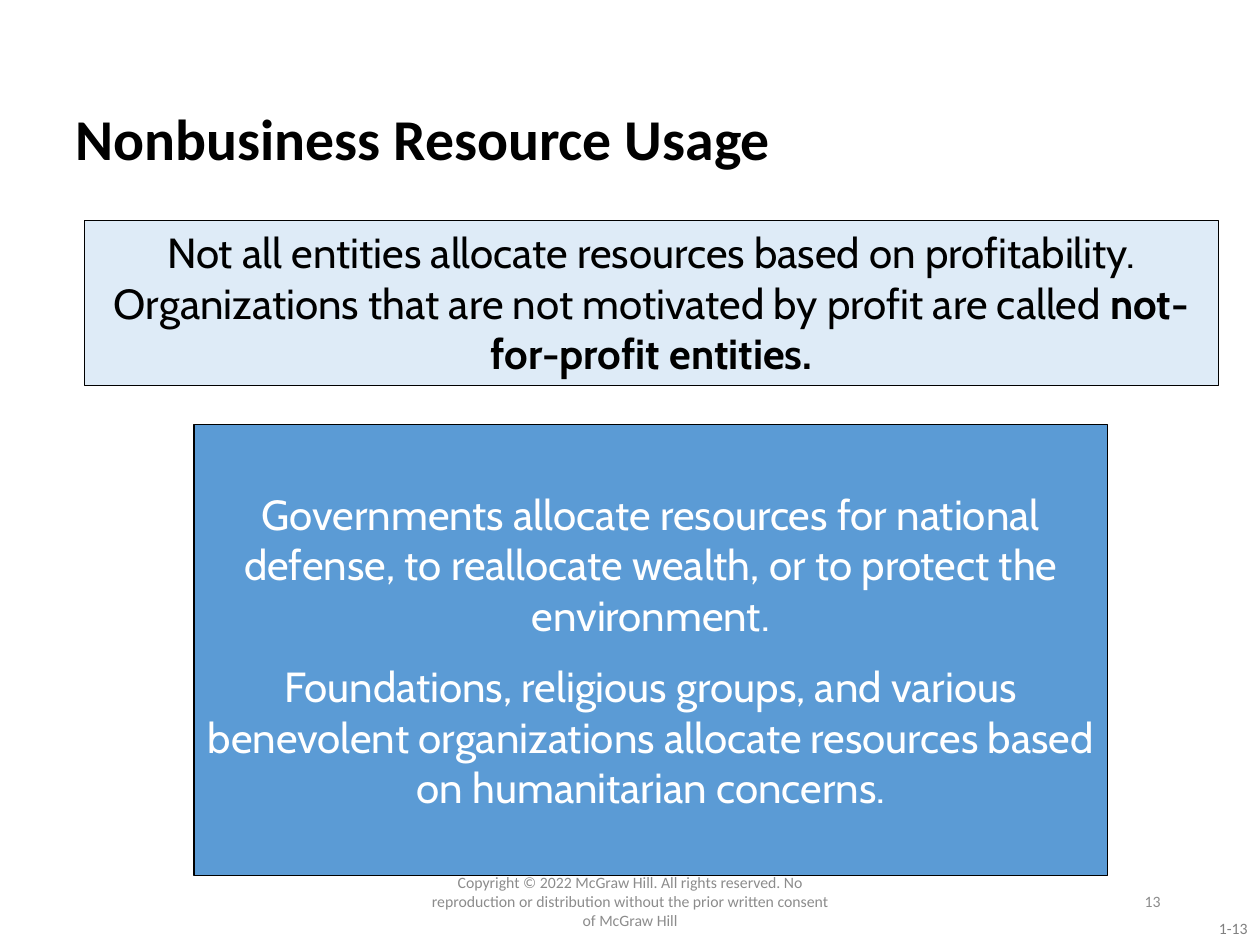
"""Build the Nonbusiness Resource Usage slide."""
from pptx import Presentation
from pptx.dml.color import RGBColor
from pptx.enum.shapes import MSO_SHAPE
from pptx.enum.text import MSO_ANCHOR, PP_ALIGN
from pptx.util import Inches, Pt

TITLE = [[("Nonbusiness Resource Usage", True)]]
DEFINITION = [[
    ("Not all entities allocate resources based on profitability. "
     "Organizations that are not motivated by profit are called ", False),
    ("not-for-profit entities.", True),
]]
EXAMPLES = [
    [("Governments allocate resources for national defense, to reallocate "
      "wealth, or to protect the environment.", False)],
    [("Foundations, religious groups, and various benevolent organizations "
      "allocate resources based on humanitarian concerns.", False)],
]
COPYRIGHT = [[("Copyright © 2022 McGraw Hill. All rights reserved. No reproduction "
               "or distribution without the prior written consent of McGraw Hill", False)]]
SLIDE_NUMBER = [[("13", False)]]
CHAPTER_PAGE = [[("1-13", False)]]
FOOTER = {"size": 9, "color": "8C8C8C"}
PANEL = {"size": 24, "font": "Cabin", "align": PP_ALIGN.CENTER, "gap": 12}


def rgb(value):
    return RGBColor.from_string(value)


def add_text(slide, box, paragraphs, *, size, color, font="Calibri", fill=None,
             align=PP_ALIGN.LEFT, anchor=MSO_ANCHOR.MIDDLE, gap=0, spacing=1.0):
    place = [Inches(length) for length in box]
    if fill:
        holder = slide.shapes.add_shape(MSO_SHAPE.RECTANGLE, *place)
        holder.shadow.inherit = False
        holder.fill.solid()
        holder.fill.fore_color.rgb = rgb(fill)
        holder.line.color.rgb = rgb("000000")
        holder.line.width = Pt(0.75)
    else:
        holder = slide.shapes.add_textbox(*place)
    frame = holder.text_frame
    frame.word_wrap = True
    frame.vertical_anchor = anchor
    for index, runs in enumerate(paragraphs):
        paragraph = frame.add_paragraph() if index else frame.paragraphs[0]
        paragraph.alignment = align
        paragraph.line_spacing = spacing
        paragraph.space_before = Pt(gap if index else 0)
        for words, bold in runs:
            run = paragraph.add_run()
            run.text = words
            run.font.name = font
            run.font.size = Pt(size)
            run.font.bold = bold
            run.font.color.rgb = rgb(color)


def main():
    deck = Presentation()
    deck.slide_width, deck.slide_height = Inches(10), Inches(7.5)
    slide = deck.slides.add_slide(deck.slide_layouts[6])
    add_text(slide, (8.79, 7.24, 1.21, 0.25), CHAPTER_PAGE, size=9, color="808080",
             align=PP_ALIGN.RIGHT, anchor=MSO_ANCHOR.TOP)
    add_text(slide, (0.5, 0.4, 8.81, 1.45), TITLE, size=33, color="000000", spacing=0.9)
    add_text(slide, (0.67, 1.75, 9, 1.31), DEFINITION, color="000000", fill="DEEBF7",
             anchor=MSO_ANCHOR.TOP, **PANEL)
    add_text(slide, (1.54, 3.37, 7.25, 3.58), EXAMPLES, color="FFFFFF", fill="5B9BD5", **PANEL)
    add_text(slide, (3.31, 6.95, 3.38, 0.4), COPYRIGHT, align=PP_ALIGN.CENTER, **FOOTER)
    add_text(slide, (7.06, 6.95, 2.25, 0.4), SLIDE_NUMBER, align=PP_ALIGN.RIGHT, **FOOTER)
    deck.save("out.pptx")


if __name__ == "__main__":
    main()
